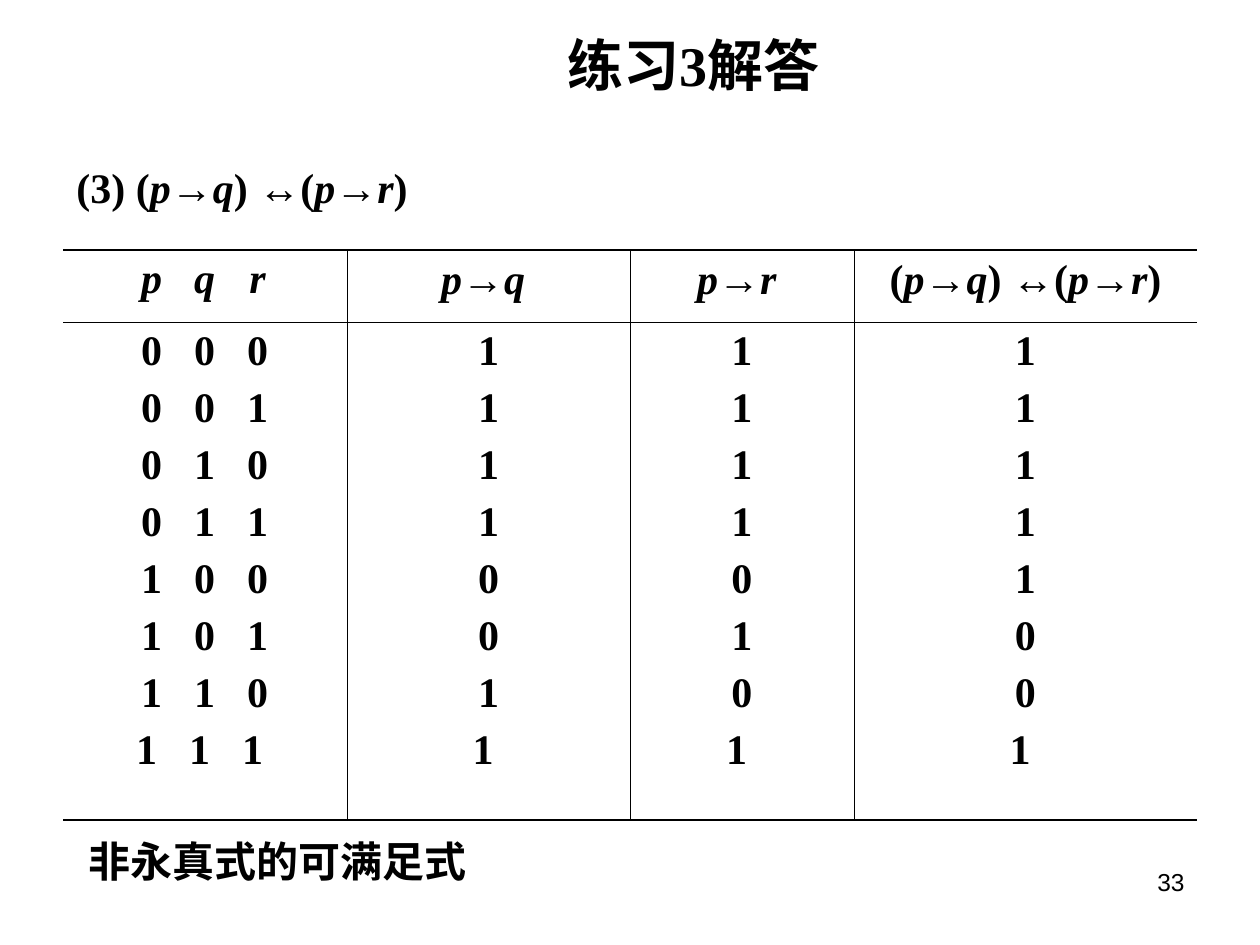
"""Build the truth-table slide for exercise 3."""
import itertools

import lxml.etree
import pptx
import pptx.dml.color
import pptx.enum.text
import pptx.oxml.ns
import pptx.util

EMU_PER_PX = 914400 / 126
BLACK = pptx.dml.color.RGBColor(0, 0, 0)
SERIF, SANS = "Times New Roman", "Arial"
ALIGN, ANCHOR = pptx.enum.text.PP_ALIGN, pptx.enum.text.MSO_ANCHOR
FORMULA = "(p→q) ↔(p→r)"
COLUMN_WIDTHS, ROW_HEIGHTS = (284, 283, 224, 343), (72, 498)
VARIABLE_STOP, VARIABLE_STEP, LAST_ROW_SHIFT = 76, 53, 5
THIN, THICK = 0.45, 1.08


def px(length):
    return pptx.util.Emu(round(length * EMU_PER_PX))


def add_child(parent, tag, **attributes):
    return lxml.etree.SubElement(parent, pptx.oxml.ns.qn(tag), attributes)


def add_run(paragraph, text, size, font_name=SERIF, bold=True, italic=False):
    run = paragraph.add_run()
    run.text = text
    font = run.font
    font.name, font.size = font_name, pptx.util.Pt(size)
    font.bold, font.italic = bold, italic
    font.color.rgb = BLACK


def add_formula(paragraph, text):
    """Write variables in italics and arrows in the sans font."""
    def style(character):
        return SANS if character in "→↔" else SERIF, character in "pqr"

    for (font_name, italic), group in itertools.groupby(text, style):
        add_run(paragraph, "".join(group), 24, font_name, italic=italic)


def add_text_box(slide, left, top, width, height, wrap=True):
    frame = slide.shapes.add_textbox(px(left), px(top), px(width), px(height)).text_frame
    frame.word_wrap = wrap
    return frame


def set_title(slide):
    title = slide.shapes.title
    title.left, title.top, title.width, title.height = map(px, (272, 35, 843, 58))
    frame = title.text_frame
    frame.margin_left = frame.margin_right = frame.margin_top = frame.margin_bottom = 0
    frame.vertical_anchor = ANCHOR.MIDDLE
    paragraph = frame.paragraphs[0]
    paragraph.alignment = ALIGN.CENTER
    add_run(paragraph, "练习", 32, SANS)
    add_run(paragraph, "3解答", 32)


def set_tab_stops(paragraph, first):
    """Place one centred stop for each of the three variables."""
    tabs = add_child(paragraph._p.get_or_add_pPr(), "a:tabLst")
    for index in range(3):
        position = px(first + index * VARIABLE_STEP)
        add_child(tabs, "a:tab", pos=str(position), algn="ctr")


def set_borders(cell, widths):
    """Draw left, right, top and bottom borders; zero means none."""
    properties = cell._tc.get_or_add_tcPr()
    for side, width in zip("LRTB", widths):
        line = add_child(properties, f"a:ln{side}", w=str(pptx.util.Pt(width)))
        if width:
            fill = add_child(line, "a:solidFill")
            add_child(fill, "a:srgbClr", val=str(BLACK))
        else:
            add_child(line, "a:noFill")
    cell.fill.background()


def fill_cell(cell, lines, tabbed):
    frame = cell.text_frame
    for index, line in enumerate(lines):
        paragraph = frame.paragraphs[0] if index == 0 else frame.add_paragraph()
        paragraph.space_before = pptx.util.Pt(6)
        if tabbed:
            paragraph.alignment = ALIGN.LEFT
            shift = LAST_ROW_SHIFT if index == 7 else 0
            set_tab_stops(paragraph, VARIABLE_STOP - shift)
        else:
            paragraph.alignment = ALIGN.CENTER
        add_formula(paragraph, line)


def truth_columns():
    """Return the lines of each table column for every assignment."""
    columns = [[], [], [], []]
    for p, q, r in itertools.product((0, 1), repeat=3):
        p_to_q, p_to_r = int(not p or q), int(not p or r)
        end = " " if p and q and r else ""
        columns[0].append(f"\t{p}\t{q}\t{r}")
        for column, value in zip(columns[1:], (p_to_q, p_to_r, int(p_to_q == p_to_r))):
            column.append(f"{value}{end}")
    return columns


def add_truth_table(slide):
    headers = [["\tp\tq\tr"], ["p→q "], ["p→r "], [FORMULA]]
    table = slide.shapes.add_table(
        len(ROW_HEIGHTS), len(COLUMN_WIDTHS), px(63), px(250),
        px(sum(COLUMN_WIDTHS)), px(sum(ROW_HEIGHTS))).table
    table.first_row = table.horz_banding = False
    for column, width in zip(table.columns, COLUMN_WIDTHS):
        column.width = px(width)
    for row, height in zip(table.rows, ROW_HEIGHTS):
        row.height = px(height)
    last = len(COLUMN_WIDTHS) - 1
    for row_index, contents in enumerate((headers, truth_columns())):
        top, bottom = ((THICK, THIN), (THIN, THICK))[row_index]
        for index, lines in enumerate(contents):
            cell = table.cell(row_index, index)
            fill_cell(cell, lines, tabbed=index == 0)
            left, right = THIN if index else 0, THIN if index < last else 0
            set_borders(cell, (left, right, top, bottom))


def main():
    presentation = pptx.Presentation()
    presentation.slide_width, presentation.slide_height = px(1260), px(945)
    slide = presentation.slides.add_slide(presentation.slide_layouts[5])
    set_title(slide)
    formula = add_text_box(slide, 64, 155, 635, 63)
    add_formula(formula.paragraphs[0], f"(3) {FORMULA}")
    add_truth_table(slide)
    conclusion = add_text_box(slide, 76, 829, 403, 63, wrap=False)
    conclusion.vertical_anchor = ANCHOR.MIDDLE
    add_run(conclusion.paragraphs[0], "非永真式的可满足式", 24)
    number = add_text_box(slide, 903, 861, 294, 66).paragraphs[0]
    number.alignment = ALIGN.RIGHT
    add_run(number, "33", 14, SANS, bold=False)
    presentation.save("out.pptx")


if __name__ == "__main__":
    main()
